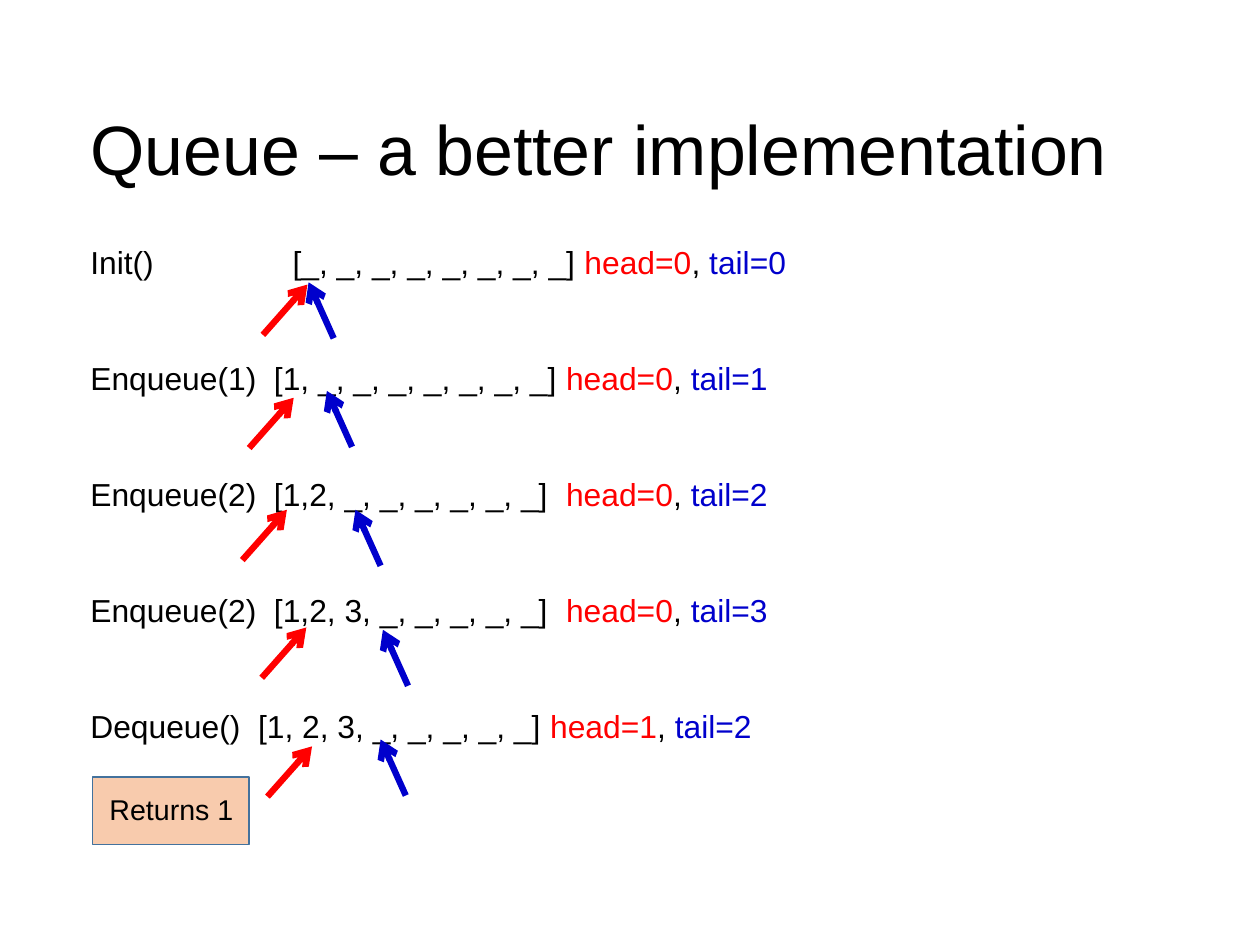
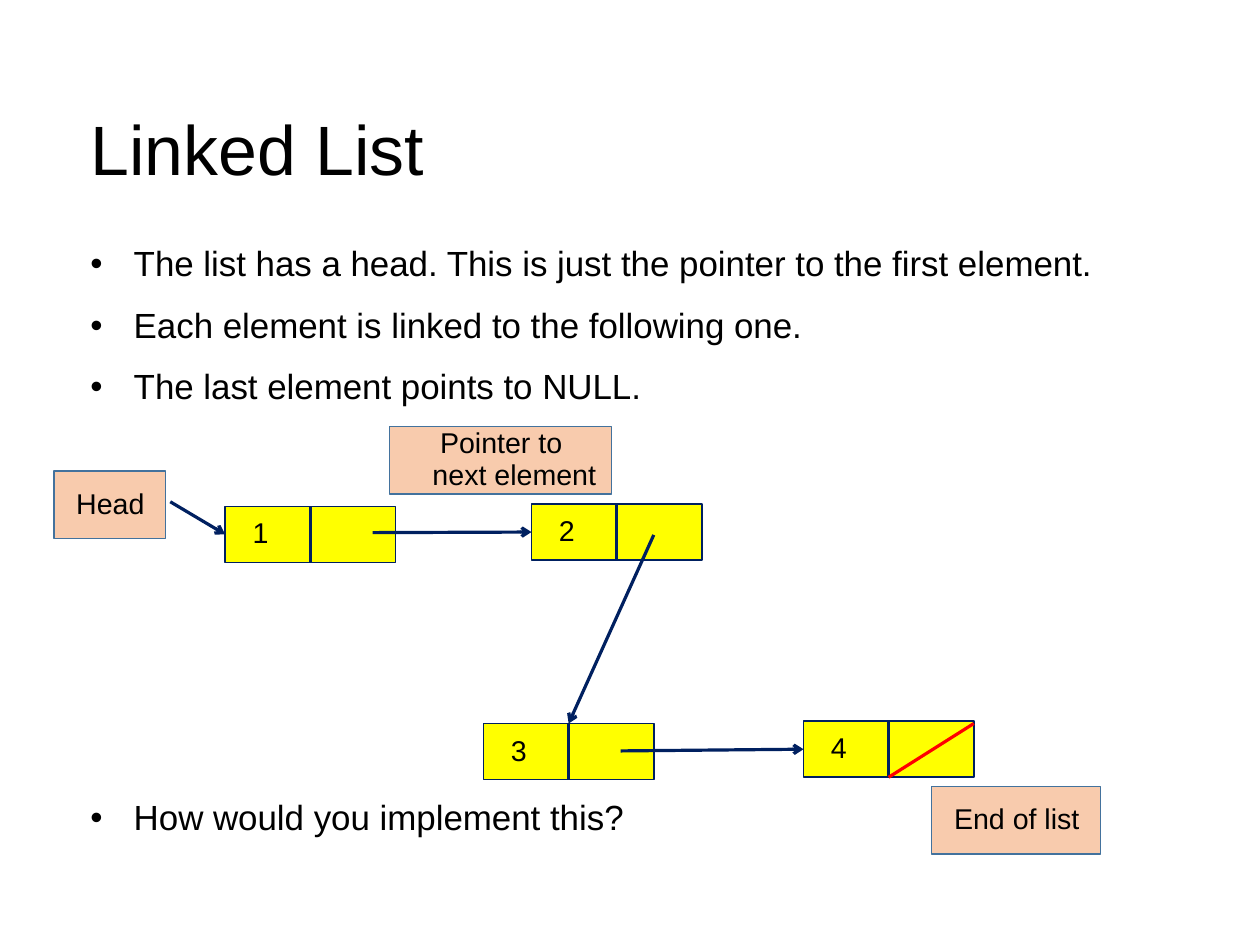
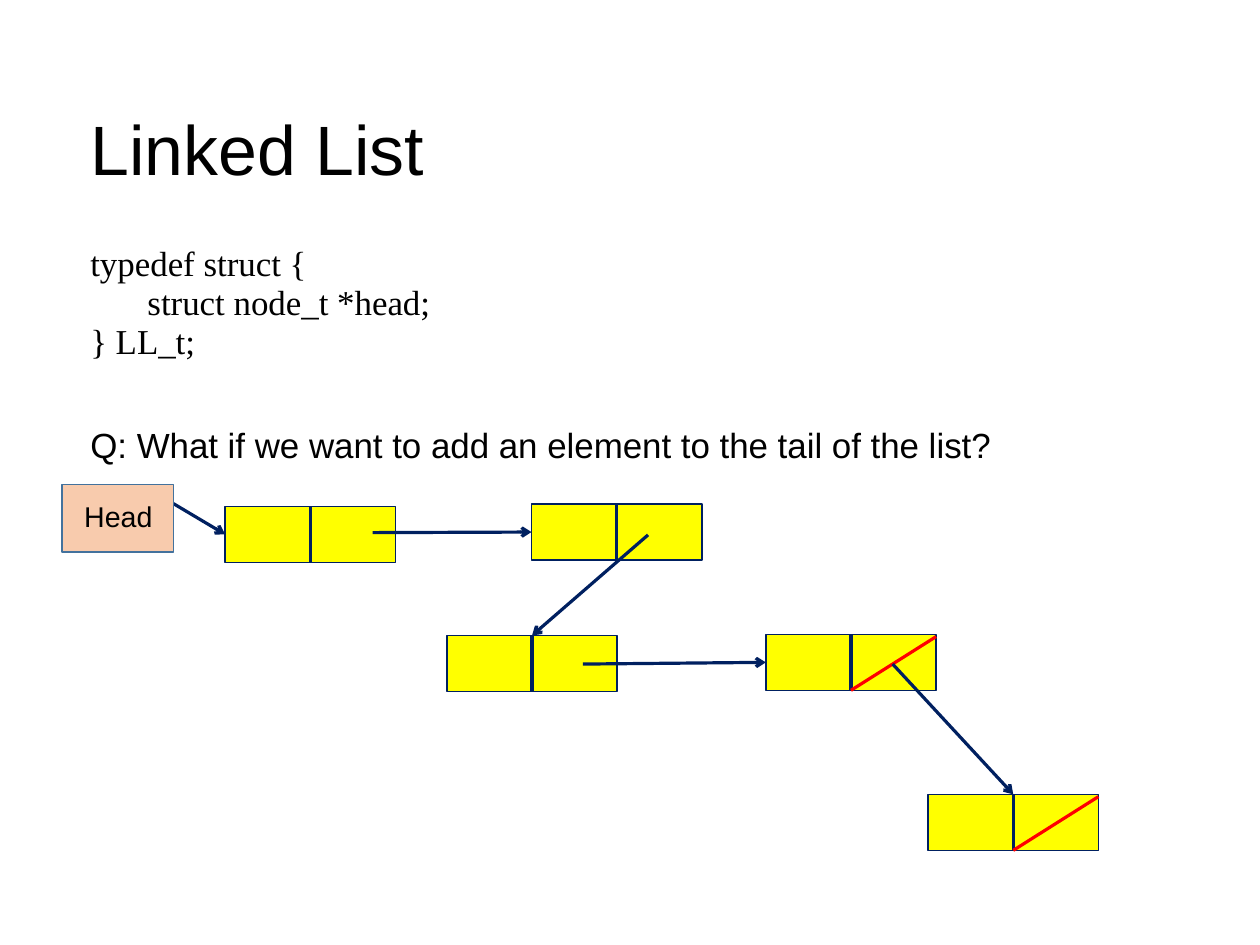
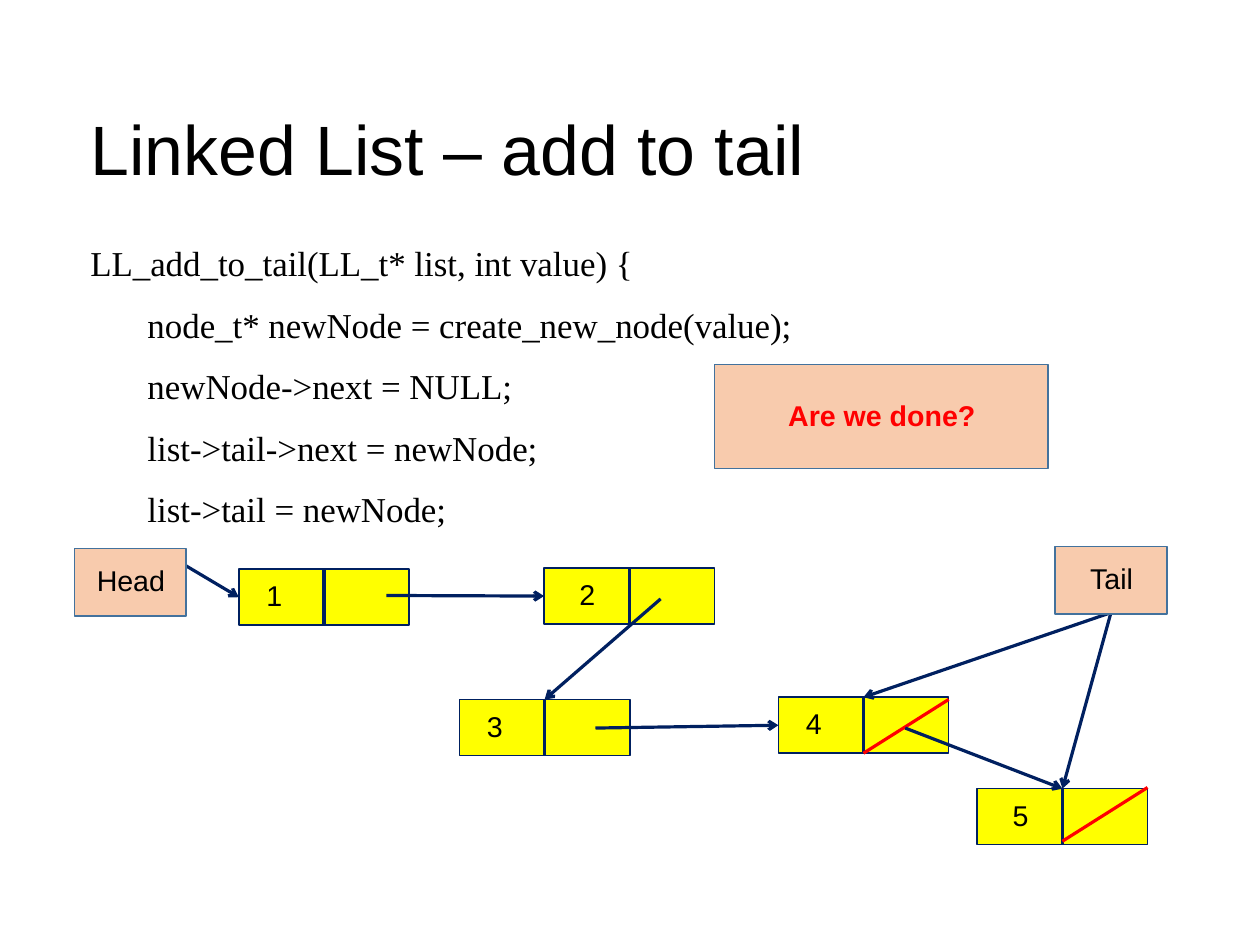
from pptx import Presentation
from pptx import util as u
from pptx.dml.color import RGBColor
from pptx.enum import shapes, text
from pptx.oxml import ns, xmlchemy

Inches, Pt = u.Inches, u.Pt
BLACK = RGBColor(0, 0, 0)
RED = RGBColor(0xFF, 0, 0)
BLUE = RGBColor(0, 0, 0xCC)
NAVY = RGBColor(0, 0x20, 0x60)
YELLOW = RGBColor(0xFF, 0xFF, 0)
PEACH = RGBColor(0xF8, 0xCB, 0xAD)
STEEL = RGBColor(0x43, 0x72, 0x9D)

SANS, SERIF = "Arial", "Times New Roman"
MIDDLE = text.MSO_ANCHOR.MIDDLE
CM_PER_INCH = 2.54
TITLE_BOX = (0.79, 0.75, 9.25, 1.12)
BODY_BOX = (0.79, 2.13, 9.68, 5.26)
AFTER = 14.2
NODE_W, NODE_H = 1.49, 0.49
LEFT, TOP = (0, NODE_H / 2), (NODE_W / 2, 0)
HEAD_START = (-0.48, -0.04)


def apply(target, **values):
    for name, value in values.items():
        setattr(target, name, value)


def add_child(parent, tag, **attributes):
    child = xmlchemy.OxmlElement(tag)
    for name, value in attributes.items():
        child.set(name, str(value))
    parent.append(child)
    return child


def shift(point, offset):
    return point[0] + offset[0], point[1] + offset[1]


def set_frame(frame, insets, anchor):
    left, top, right, bottom = map(Inches, insets)
    apply(frame, word_wrap=True, vertical_anchor=anchor, margin_left=left,
          margin_top=top, margin_right=right, margin_bottom=bottom)


def write(para, spans, size, font=SANS, bold=False, after=0, align=text.PP_ALIGN.LEFT):
    apply(para, line_spacing=0.93, space_after=Pt(after), alignment=align)
    for words, color in spans:
        span = para.add_run()
        span.text = words
        apply(span.font, size=Pt(size), name=font, bold=bold)
        span.font.color.rgb = color


def indent(para, left, first=0):
    properties = para._p.get_or_add_pPr()
    properties.set("marL", str(Inches(left)))
    properties.set("indent", str(Inches(first)))
    return properties


def add_bullet(para):
    properties = indent(para, 0.38, -0.38)
    add_child(properties, "a:buFont", typeface=SANS)
    add_child(properties, "a:buChar", char="•")


def add_tab(para, position):
    stops = add_child(para._p.get_or_add_pPr(), "a:tabLst")
    add_child(stops, "a:tab", pos=Inches(position), algn="l")


def add_text(page, box, insets, anchor):
    frame = page.shapes.add_textbox(*map(Inches, box)).text_frame
    set_frame(frame, insets, anchor)
    return frame


def next_para(frame, index):
    return frame.add_paragraph() if index else frame.paragraphs[0]


def add_page(deck, title):
    page = deck.slides.add_slide(deck.slide_layouts[6])
    frame = add_text(page, TITLE_BOX, (0, 0.04, 0, 0), MIDDLE)
    write(frame.paragraphs[0], [(title, BLACK)], 44)
    return page, add_text(page, BODY_BOX, (0, 0.02, 0, 0), text.MSO_ANCHOR.TOP)


def add_line(parent, start, end, color=NAVY, width=2, arrow=False):
    line = parent.shapes.add_connector(
        shapes.MSO_CONNECTOR.STRAIGHT, *map(Inches, (*start, *end)))
    line.line.color.rgb = color
    line.line.width = Pt(width)
    properties = line.element.spPr
    if arrow:
        add_child(properties.find(ns.qn("a:ln")), "a:tailEnd", type="arrow")
    add_child(properties, "a:effectLst")


def add_box(parent, box, fill, outline):
    shape = parent.shapes.add_shape(shapes.MSO_SHAPE.RECTANGLE, *map(Inches, box))
    shape.shadow.inherit = False
    shape.fill.solid()
    shape.fill.fore_color.rgb = fill
    shape.line.color.rgb = outline
    shape.line.width = Pt(1)
    return shape.text_frame


def add_label(page, words, left, top, width=0.98, height=0.59, color=BLACK, bold=False):
    frame = add_box(page, (left, top, width, height), PEACH, STEEL)
    set_frame(frame, (0.1, 0.05, 0.1, 0.05), MIDDLE)
    para = frame.paragraphs[0]
    for index, line in enumerate(words.split("\n")):
        if index:
            para.add_line_break()
        write(para, [(line, color)], 18, bold=bold, align=text.PP_ALIGN.CENTER)
    indent(para, 0.24, -0.23)


def add_node(page, corner, value="", inset=0.24, slash=None):
    group = page.shapes.add_group_shape()
    frame = add_box(group, (*corner, NODE_W, NODE_H), YELLOW, NAVY)
    if value:
        set_frame(frame, (inset, 0.05, 0.1, 0.05), MIDDLE)
        write(frame.paragraphs[0], [(value, BLACK)], 18)
    add_line(group, shift(corner, TOP), shift(corner, (NODE_W / 2, NODE_H)))
    if slash is not None:
        add_line(page, shift(corner, (NODE_W, slash)),
                 shift(corner, (NODE_W / 2, slash + 0.47)), RED)


def add_chain(page, nodes, links):
    for node in nodes:
        add_node(page, **node)
    corners = [node["corner"] for node in nodes]
    add_line(page, shift(corners[0], HEAD_START), shift(corners[0], LEFT), arrow=True)
    for source, target, (start, end) in zip(corners, corners[1:], links):
        add_line(page, shift(source, start), shift(target, end), arrow=True)


def queue_page(deck):
    page, body = add_page(deck, "Queue – a better implementation")
    rows = [
        ("Init()\t[_, _, _, _, _, _, _, _] ", 0, 0, (2.69, 2.49), (2.7, 2.47)),
        ("Enqueue(1)  [1, _, _, _, _, _, _, _] ", 0, 1, (2.57, 3.48), (2.86, 3.42)),
        ("Enqueue(2)  [1,2, _, _, _, _, _, _]  ", 0, 2, (2.51, 4.46), (3.11, 4.46)),
        ("Enqueue(2)  [1,2, 3, _, _, _, _, _]  ", 0, 3, (2.68, 5.49), (3.35, 5.51)),
        ("Dequeue()  [1, 2, 3, _, _, _, _, _] ", 1, 2, (2.73, 6.53), (3.33, 6.47)),
    ]
    for index, (call, head, tail, head_tip, tail_tip) in enumerate(rows):
        para = next_para(body, index)
        write(para, [(call, BLACK), (f"head={head}", RED), (", ", BLACK),
                     (f"tail={tail}", BLUE)], 20, after=50.8)
        add_tab(para, 1.77)
        add_line(page, shift(head_tip, (-0.39, 0.44)), head_tip, RED, 4, True)
        add_line(page, shift(tail_tip, (0.22, 0.49)), tail_tip, BLUE, 4, True)
    add_label(page, "Returns 1", 0.81, 6.8, 1.37)


def list_page(deck):
    page, body = add_page(deck, "Linked List")
    points = [
        ("The list has a head. This is just the pointer to the first element.", AFTER),
        ("Each element is linked to the following one.", AFTER),
        ("The last element points to NULL.", 246.6),
        ("How would you implement this?", AFTER),
    ]
    for index, (words, after) in enumerate(points):
        para = next_para(body, index)
        write(para, [(words, BLACK)], 22, after=after)
        add_bullet(para)
    add_chain(page, [
        dict(corner=(1.97, 4.43), value="1"),
        dict(corner=(4.65, 4.41), value="2"),
        dict(corner=(4.23, 6.33), value="3"),
        dict(corner=(7.03, 6.31), value="4", slash=0.02),
    ], [((1.29, 0.23), LEFT), ((1.07, 0.27), TOP), ((1.2, 0.24), LEFT)])
    add_label(page, "Head", 0.47, 4.12)
    add_label(page, "Pointer to\nnext element", 3.41, 3.73, 1.94)
    add_label(page, "End of list", 8.15, 6.88, 1.48)


def write_code(body, lines):
    for index, (words, left, after) in enumerate(lines):
        para = next_para(body, index)
        write(para, [(words, BLACK)], 22, SERIF, after=after)
        indent(para, left)


def struct_page(deck):
    page, body = add_page(deck, "Linked List")
    write_code(body, [("typedef struct {", 0, 0),
                      ("struct node_t *head;", 0.5, 0),
                      ("} LL_t;", 0, 41)])
    question = "Q: What if we want to add an element to the tail of the list?"
    write(body.add_paragraph(), [(question, BLACK)], 22, after=AFTER)
    add_chain(page, [
        dict(corner=(1.97, 4.43)),
        dict(corner=(4.65, 4.41)),
        dict(corner=(3.91, 5.56)),
        dict(corner=(6.7, 5.55), slash=0.02),
        dict(corner=(8.12, 6.95), slash=0.02),
    ], [((1.29, 0.23), LEFT), ((1.02, 0.27), TOP), ((1.19, 0.25), LEFT),
        ((1.11, 0.26), TOP)])
    add_label(page, "Head", 0.54, 4.24)


def tail_page(deck):
    page, body = add_page(deck, "Linked List – add to tail")
    write_code(body, [("LL_add_to_tail(LL_t* list, int value) {", 0, AFTER),
                      ("node_t* newNode = create_new_node(value);", 0.5, AFTER),
                      ("newNode->next = NULL;", 0.5, AFTER),
                      ("list->tail->next = newNode;", 0.5, AFTER),
                      ("list->tail = newNode;", 0.5, AFTER)])
    fourth, fifth = (6.81, 6.1), (8.55, 6.9)
    add_chain(page, [
        dict(corner=(2.09, 4.98), value="1"),
        dict(corner=(4.76, 4.97), value="2", inset=0.31),
        dict(corner=(4.02, 6.12), value="3"),
        dict(corner=fourth, value="4", slash=0.02),
        dict(corner=fifth, value="5", inset=0.31, slash=-0.01),
    ], [((1.29, 0.23), LEFT), ((1.02, 0.27), TOP), ((1.19, 0.25), LEFT),
        ((1.11, 0.27), TOP)])
    for corner in (fourth, fifth):
        add_line(page, (9.72, 5.36), shift(corner, TOP), arrow=True)
    add_label(page, "Head", 0.65, 4.8)
    add_label(page, "Tail", 9.23, 4.78)
    add_label(page, "Are we done?", 6.25, 3.19, 2.92, 0.91, RED, True)


def main():
    deck = Presentation()
    deck.slide_width = Inches(28 / CM_PER_INCH)
    deck.slide_height = Inches(21 / CM_PER_INCH)
    for build in (queue_page, list_page, struct_page, tail_page):
        build(deck)
    deck.save("out.pptx")


if __name__ == "__main__":
    main()
